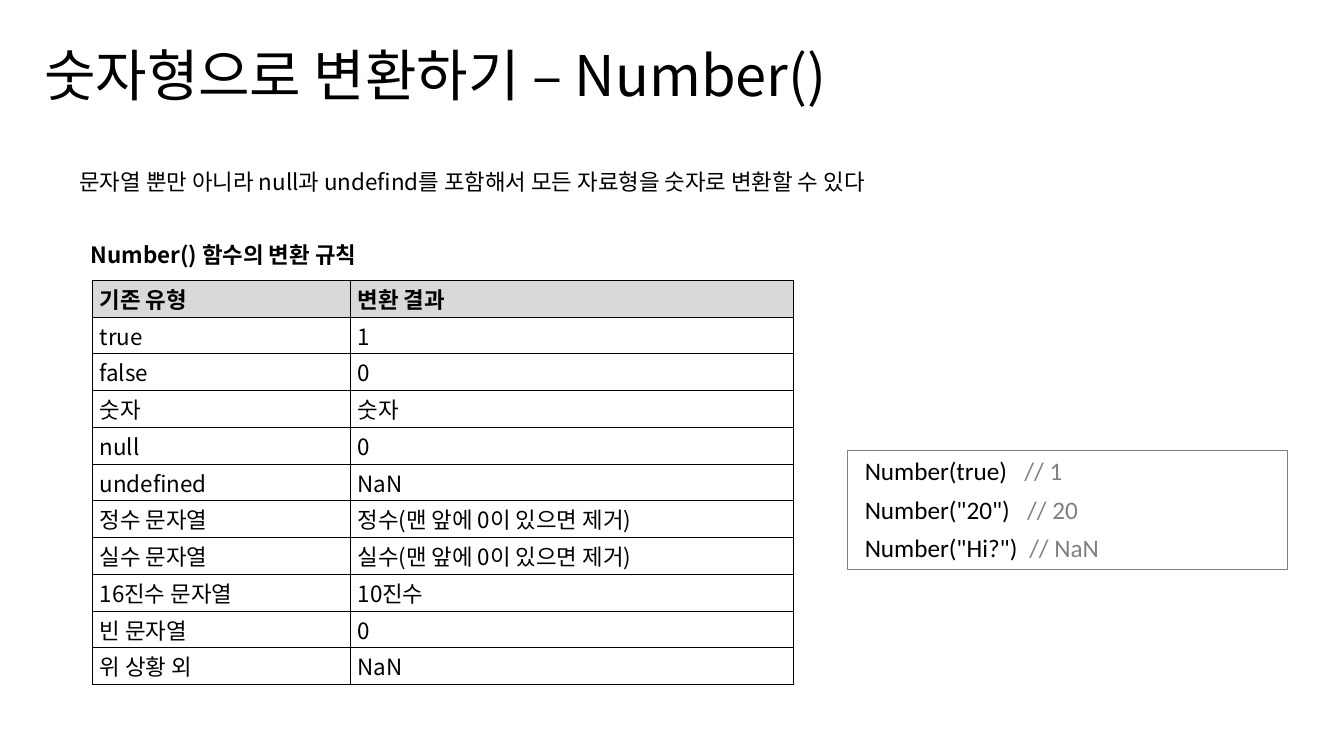
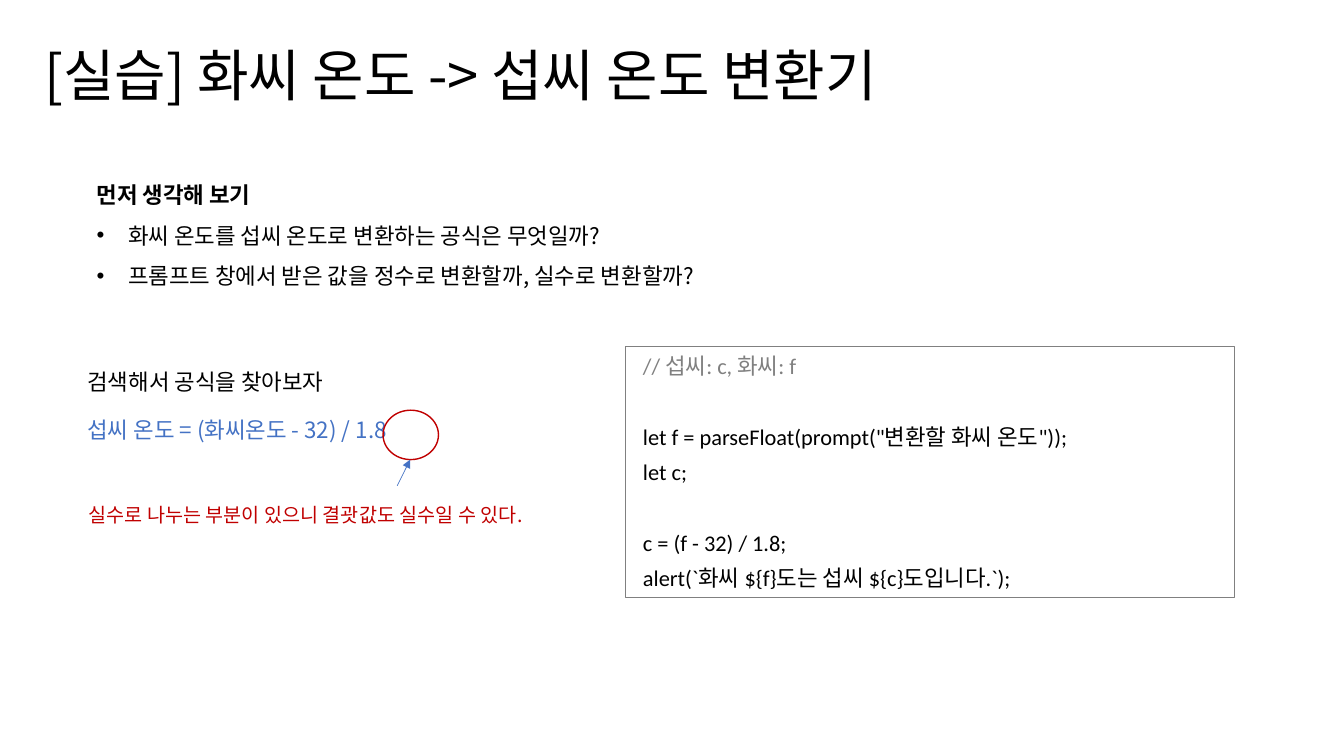
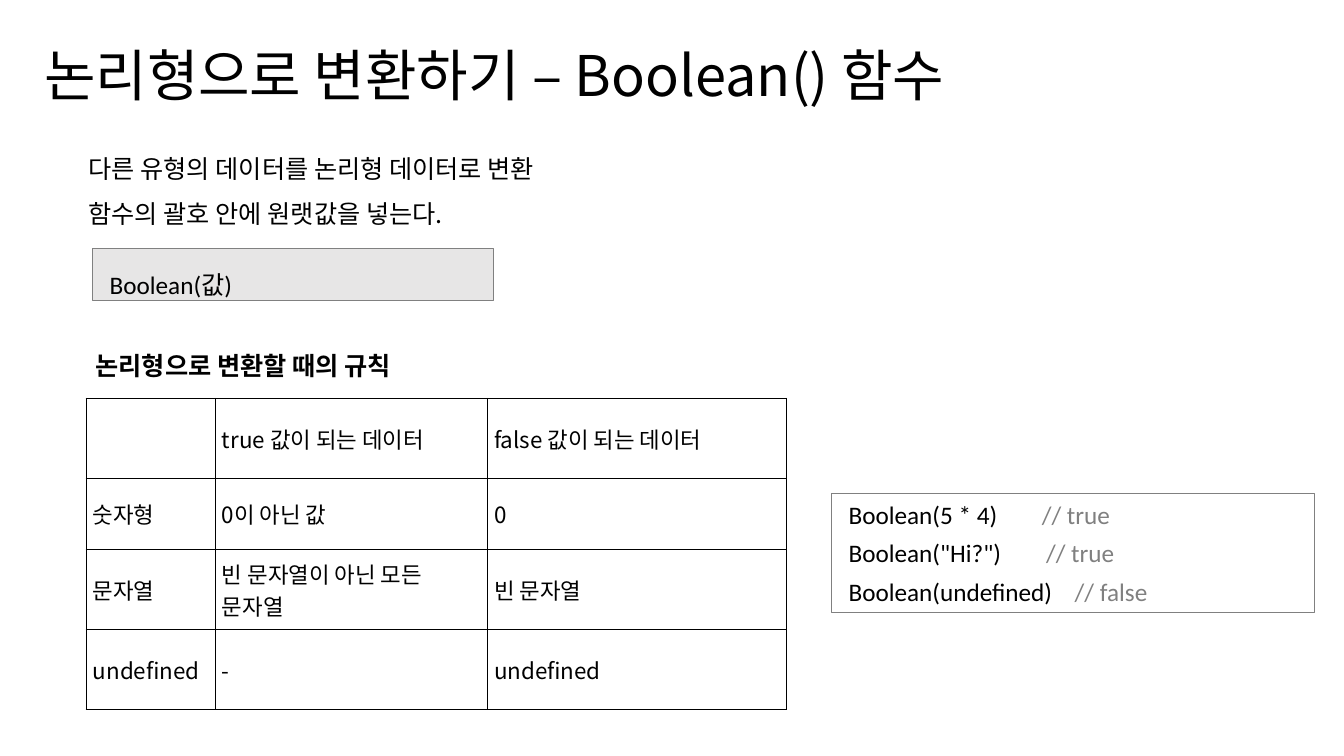
from dataclasses import dataclass

from lxml import etree
from pptx import Presentation
from pptx.dml.color import RGBColor
from pptx.enum import shapes, text
from pptx.oxml import ns
from pptx.util import Pt


@dataclass(frozen=True)
class Theme:
    sans: str = "Noto Sans CJK KR"
    code: str = "Calibri"
    ink: str = "000000"
    paper: str = "FFFFFF"
    gray: str = "808080"
    head: str = "D9D9D9"
    pale: str = "E7E6E6"
    blue: str = "4472C4"
    red: str = "C00000"
    title: int = 40
    large: int = 18
    body: int = 16
    small: int = 14


T = Theme()


def rgb(value):
    return RGBColor.from_string(value)


def sub(parent, tag, **attrs):
    node = etree.SubElement(parent, ns.qn(tag))
    for key, value in attrs.items():
        node.set(key, str(value))
    return node


def assign(target, values):
    for key, value in values.items():
        setattr(target, key, value)


class Deck:
    def __init__(self):
        self.prs = Presentation()
        assign(self.prs, {"slide_width": Pt(960), "slide_height": Pt(540)})
        self.slide = None

    def page(self, title):
        self.slide = self.prs.slides.add_slide(self.prs.slide_layouts[6])
        self.label(24.5, 25.2, 860, 55.4, [title], size=T.title)

    def run(self, par, words, font, size, color, bold=False):
        run = par.add_run()
        run.text = words
        assign(run.font, {"name": font, "size": Pt(size), "bold": bold})
        run.font.color.rgb = rgb(color)
        sub(run._r.get_or_add_rPr(), "a:ea", typeface=font)

    def lines(self, frame, lines, size=T.body, font=T.sans, color=T.ink,
              bold=False, form=None):
        for i, line in enumerate(lines):
            words, own = line if isinstance(line, tuple) else (line, {})
            par = frame.paragraphs[0] if i == 0 else frame.add_paragraph()
            props = par._p.get_or_add_pPr()
            if own.get("bullet"):
                props.set("marL", str(Pt(22.5)))
                props.set("indent", str(-Pt(22.5)))
                sub(props, "a:buFont", typeface="Arial")
                sub(props, "a:buChar", char="•")
            if "tab" in own:
                tabs = sub(props, "a:tabLst")
                sub(tabs, "a:tab", pos=Pt(own["tab"]), algn="l")
            values = {**(form or {}), **own.get("form", {})}
            if i == 0:
                values.pop("space_before", None)
            assign(par, values)
            tone = own.get("color", color)
            main, mark, note = words.partition("\t")
            self.run(par, main + mark, font, size, tone, own.get("bold", bold))
            if note:
                self.run(par, note, font, size, T.gray)

    def label(self, x, y, w, h, lines, **look):
        box = self.slide.shapes.add_textbox(Pt(x), Pt(y), Pt(w), Pt(h))
        box.text_frame.word_wrap = True
        self.lines(box.text_frame, lines, **look)

    def shape(self, kind, x, y, w, h, line, width, fill=None):
        item = self.slide.shapes.add_shape(kind, Pt(x), Pt(y), Pt(w), Pt(h))
        item.shadow.inherit = False
        if fill:
            item.fill.solid()
            item.fill.fore_color.rgb = rgb(fill)
        else:
            item.fill.background()
        item.line.color.rgb = rgb(line)
        item.line.width = Pt(width)
        return item

    def code(self, x, y, w, h, lines, size=T.large, fill=None, **form):
        box = self.shape(shapes.MSO_SHAPE.RECTANGLE, x, y, w, h, T.gray, 0.75, fill)
        assign(box.text_frame, {
            "word_wrap": True, "margin_left": Pt(12.2),
            "vertical_anchor": text.MSO_ANCHOR.TOP})
        base = {"alignment": text.PP_ALIGN.LEFT,
                "space_before": Pt(3), "space_after": Pt(3)}
        self.lines(box.text_frame, lines, size, T.code, form={**base, **form})

    def ring(self, x, y, w, h, color):
        self.shape(shapes.MSO_SHAPE.OVAL, x, y, w, h, color, 1)

    def arrow(self, x1, y1, x2, y2, color):
        link = self.slide.shapes.add_connector(
            shapes.MSO_CONNECTOR.STRAIGHT, Pt(x1), Pt(y1), Pt(x2), Pt(y2))
        link.line.color.rgb = rgb(color)
        link.line.width = Pt(0.5)
        sub(link.line._get_or_add_ln(), "a:tailEnd", type="triangle")
        sub(link._element.spPr, "a:effectLst")

    def table(self, x, y, cols, rows, data, align, header=False):
        grid = self.slide.shapes.add_table(
            len(rows), len(cols), Pt(x), Pt(y), Pt(sum(cols)), Pt(sum(rows))).table
        assign(grid, {"first_row": False, "horz_banding": False})
        for col, size in zip(grid.columns, cols):
            col.width = Pt(size)
        for row, size in zip(grid.rows, rows):
            row.height = Pt(size)
        for r, line in enumerate(data):
            for c, words in enumerate(line):
                top = header and r == 0
                self.cell(grid.cell(r, c), words, top, align)

    def cell(self, cell, words, top, align):
        assign(cell, {"margin_left": Pt(5), "margin_right": Pt(5),
                      "margin_top": 0, "margin_bottom": 0,
                      "vertical_anchor": text.MSO_ANCHOR.MIDDLE})
        props = cell._tc.get_or_add_tcPr()
        for side in "LRTB":
            edge = sub(props, f"a:ln{side}", w=Pt(0.5))
            sub(sub(edge, "a:solidFill"), "a:srgbClr", val=T.ink)
        cell.fill.solid()
        cell.fill.fore_color.rgb = rgb(T.head if top else T.paper)
        if words:
            self.lines(cell.text_frame, [words], bold=top, form={"alignment": align})


def numbers(deck):
    deck.page("숫자형으로 변환하기 – Number()")
    deck.label(49.7, 106.6, 713, 32.4, [
        "문자열 뿐만 아니라 null과 undefind를 포함해서 모든 자료형을 숫자로 변환할 수 있다",
    ], form={"line_spacing": 1.5})
    deck.label(57.6, 168.5, 480, 26.6, ["Number() 함수의 변환 규칙"], bold=True)
    data = [
        ("기존 유형", "변환 결과"),
        ("true", "1"),
        ("false", "0"),
        ("숫자", "숫자"),
        ("null", "0"),
        ("undefined", "NaN"),
        ("정수 문자열", "정수(맨 앞에 0이 있으면 제거)"),
        ("실수 문자열", "실수(맨 앞에 0이 있으면 제거)"),
        ("16진수 문자열", "10진수"),
        ("빈 문자열", "0"),
        ("위 상황 외", "NaN"),
    ]
    deck.table(66.2, 200.2, [184.3, 316], [26.25] * len(data), data,
               text.PP_ALIGN.JUSTIFY, header=True)
    deck.code(605.5, 321.8, 314, 85, [
        ("Number(true)\t// 1", {"tab": 114}),
        ('Number("20")\t// 20', {"tab": 116}),
        ('Number("Hi?")\t// NaN', {"tab": 117.5}),
    ])


def degrees(deck):
    deck.page("[실습] 화씨 온도 -> 섭씨 온도 변환기")
    deck.label(61.9, 116.6, 674, 90.7, [
        ("먼저 생각해 보기", {"bold": True}),
        ("화씨 온도를 섭씨 온도로 변환하는 공식은 무엇일까?", {"bullet": True}),
        ("프롬프트 창에서 받은 값을 정수로 변환할까, 실수로 변환할까?", {"bullet": True}),
    ], form={"line_spacing": 1.5})
    deck.label(55.4, 259.2, 391.7, 67.7, [
        "검색해서 공식을 찾아보자",
        ("섭씨 온도 = (화씨온도 - 32) / 1.8",
         {"color": T.blue, "form": {"space_before": Pt(15.4)}}),
    ])
    deck.ring(273.6, 293, 39.6, 35.3, T.red)
    deck.label(56.2, 355.7, 351.4, 24.5, [
        "실수로 나누는 부분이 있으니 결괏값도 실수일 수 있다.",
    ], size=T.small, color=T.red)
    deck.arrow(283.7, 347, 293, 328.3, T.blue)
    gap = {"form": {"space_before": Pt(28.5)}}
    deck.code(447.1, 247.7, 434.9, 179.3, [
        ("// 섭씨: c, 화씨: f", {"color": T.gray}),
        ('let f = parseFloat(prompt("변환할 화씨 온도"));', gap),
        "let c;",
        ("c = (f - 32) / 1.8;", gap),
        "alert(`화씨 ${f}도는 섭씨 ${c}도입니다.`);",
    ], size=T.body)


def logic(deck):
    deck.page("논리형으로 변환하기 – Boolean() 함수")
    deck.label(56.2, 95, 393, 69, [
        "다른 유형의 데이터를 논리형 데이터로 변환",
        "함수의 괄호 안에 원랫값을 넣는다.",
    ], size=T.large, form={"line_spacing": 1.5})
    deck.code(66.2, 177.8, 286.6, 36.7, ["Boolean(값)"], fill=T.pale, line_spacing=1.5)
    deck.label(61.2, 247, 284.4, 28.8, ["논리형으로 변환할 때의 규칙"],
               size=T.large, bold=True)
    deck.table(61.4, 284.4, [92.2, 194.4, 213.6], [57.3, 50.7, 57.3, 57.3], [
        ("", "true 값이 되는 데이터", "false 값이 되는 데이터"),
        ("숫자형", "0이 아닌 값", "0"),
        ("문자열", "빈 문자열이 아닌 모든 문자열", "빈 문자열"),
        ("undefined", "-", "undefined"),
    ], text.PP_ALIGN.LEFT)
    deck.code(594, 352.8, 344.9, 85, [
        ("Boolean(5 * 4)\t// true", {"tab": 138}),
        ('Boolean("Hi?")\t// true', {"tab": 141}),
        ("Boolean(undefined)\t// false", {"tab": 161.5}),
    ])


def main():
    deck = Deck()
    for build in (numbers, degrees, logic):
        build(deck)
    deck.prs.save("out.pptx")


if __name__ == "__main__":
    main()
